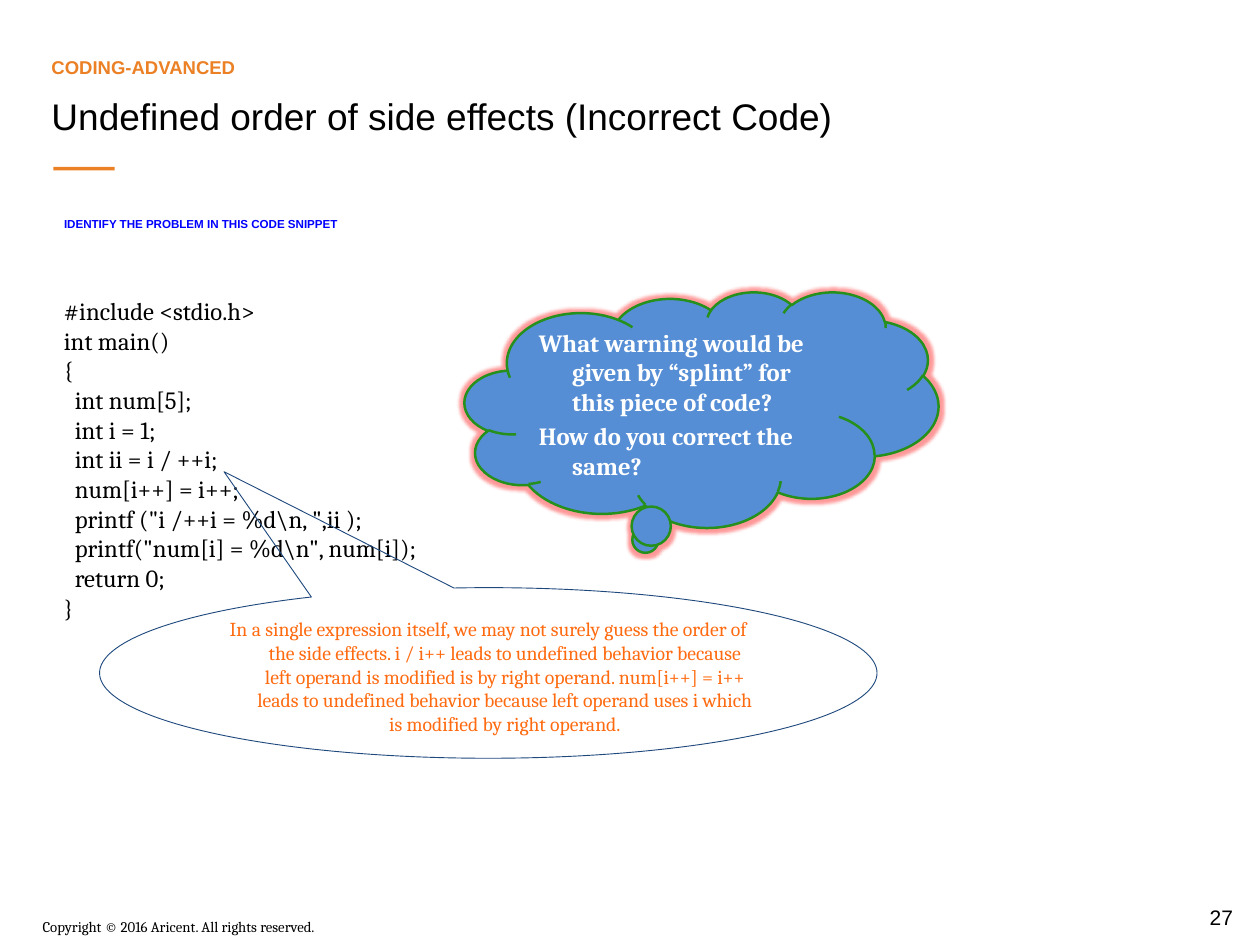
import pptx
import pptx.util
import pptx.dml.color
import pptx.enum.shapes
import pptx.enum.text
import pptx.oxml
import pptx.oxml.ns

Pt = pptx.util.Pt
ALIGN = pptx.enum.text.PP_ALIGN
ANCHOR = pptx.enum.text.MSO_ANCHOR
SHAPE = pptx.enum.shapes.MSO_SHAPE

COLOURS = {
    "black": "000000",
    "white": "FFFFFF",
    "accent": "EB8024",
    "prompt": "0000FF",
    "answer": "FF6B11",
    "answer_line": "1F497D",
    "cloud": "558ED5",
    "cloud_line": "25901B",
    "glow": "FF0000",
}

HANGING = 27

CODE = r"""#include <stdio.h>
int main()
{
  int num[5];
  int i = 1;
  int ii = i / ++i;
  num[i++] = i++;
  printf ("i /++i = %d\n, ",ii );
  printf("num[i] = %d\n", num[i]);
  return 0;
}"""

ANSWER = (
    "In a single expression itself, we may not surely guess the order of the "
    "side effects. i / i++ leads to undefined behavior because left operand is "
    "modified is by right operand. num[i++] = i++ leads to undefined behavior "
    "because left operand uses i which is modified by right operand."
)

QUESTIONS = (
    "What warning would be given by “splint” for this piece of code?\n"
    "How do you correct the same?"
)


def colour(name):
    return pptx.dml.color.RGBColor.from_string(COLOURS[name])


def place(box, left, top, width, height):
    box.left, box.top = Pt(left), Pt(top)
    box.width, box.height = Pt(width), Pt(height)


def write(box, text, size, ink, font="Cambria", bold=False, align=ALIGN.LEFT,
          anchor=ANCHOR.TOP, wrap=True, hanging=0, gap=0):
    frame = box.text_frame
    frame.text = text
    frame.word_wrap = wrap
    frame.auto_size = pptx.enum.text.MSO_AUTO_SIZE.NONE
    frame.vertical_anchor = anchor
    for number, para in enumerate(frame.paragraphs):
        para.alignment = align
        para.space_before = Pt(gap if number else 0)
        if hanging:
            properties = para._p.get_or_add_pPr()
            properties.set("marL", str(Pt(hanging)))
            properties.set("indent", str(Pt(-hanging)))
        for span in para.runs:
            span.font.name = font
            span.font.size = Pt(size)
            span.font.bold = bold
            span.font.color.rgb = colour(ink)


def add_label(page, bounds, text, size, **style):
    box = page.shapes.add_textbox(*map(Pt, bounds))
    write(box, text, size, "black", **style)


def fill_placeholder(box, bounds, text, size, ink, **style):
    place(box, *bounds)
    write(box, text, size, ink, font="Arial", **style)


def add_figure(page, kind, bounds, fill=None, line=None, weight=0, tip=()):
    figure = page.shapes.add_shape(kind, *map(Pt, bounds))
    figure.shadow.inherit = False
    if fill:
        figure.fill.solid()
        figure.fill.fore_color.rgb = colour(fill)
    else:
        figure.fill.background()
    if line:
        figure.line.color.rgb = colour(line)
        figure.line.width = Pt(weight)
    else:
        figure.line.fill.background()
    for number, value in enumerate(tip):
        figure.adjustments[number] = value
    return figure


def add_glow(figure, radius, ink, opacity):
    effects = figure._element.spPr.find(pptx.oxml.ns.qn("a:effectLst"))
    effects.append(pptx.oxml.parse_xml(
        f'<a:glow {pptx.oxml.ns.nsdecls("a")} rad="{Pt(radius)}">'
        f'<a:srgbClr val="{COLOURS[ink]}"><a:alpha val="{opacity * 1000}"/>'
        "</a:srgbClr></a:glow>"))


def main():
    deck = pptx.Presentation()
    deck.slide_width, deck.slide_height = Pt(1021), Pt(765.4)
    page = deck.slides.add_slide(deck.slide_layouts.get_by_name("Comparison"))
    title, kicker, left_body, prompt, right_body = page.placeholders
    for unused in (left_body, right_body):
        unused._element.getparent().remove(unused._element)

    fill_placeholder(kicker, (34.5, 22.3, 801, 44.7), "CODING-ADVANCED", 15,
                     "accent", bold=True, anchor=ANCHOR.BOTTOM)
    fill_placeholder(title, (34.5, 72, 801, 61),
                     "Undefined order of side effects (Incorrect Code)", 30,
                     "black")
    fill_placeholder(prompt, (44.7, 149, 570, 41.8),
                     "IDENTIFY THE PROBLEM IN THIS CODE SNIPPET", 9.4,
                     "prompt", bold=True, anchor=ANCHOR.BOTTOM)

    add_figure(page, SHAPE.RECTANGLE, (43.2, 135.2, 49.7, 2.9), fill="accent")
    add_label(page, (958.3, 728.6, 62.7, 28), "27", 17, font="Arial",
              align=ALIGN.CENTER, anchor=ANCHOR.MIDDLE)
    add_label(page, (27.4, 740, 510, 21.6),
              "Copyright © 2016 Aricent. All rights reserved.", 12)
    add_label(page, (44.7, 236.2, 306, 271.4), CODE, 20, wrap=False)

    answer = add_figure(page, SHAPE.OVAL_CALLOUT, (80.7, 476, 630, 138.2),
                        line="answer_line", weight=0.75, tip=(-0.34, -1.18))
    write(answer, ANSWER, 16, "answer", align=ALIGN.CENTER, hanging=HANGING)

    cloud = add_figure(page, SHAPE.CLOUD_CALLOUT, (376.6, 236.2, 383.8, 190.8),
                       fill="cloud", line="cloud_line", weight=2,
                       tip=(-0.12, 0.56))
    add_glow(cloud, 5, "glow", 40)
    write(cloud, QUESTIONS, 20, "white", bold=True, anchor=ANCHOR.MIDDLE,
          hanging=HANGING, gap=4)

    deck.save("out.pptx")


if __name__ == "__main__":
    main()
